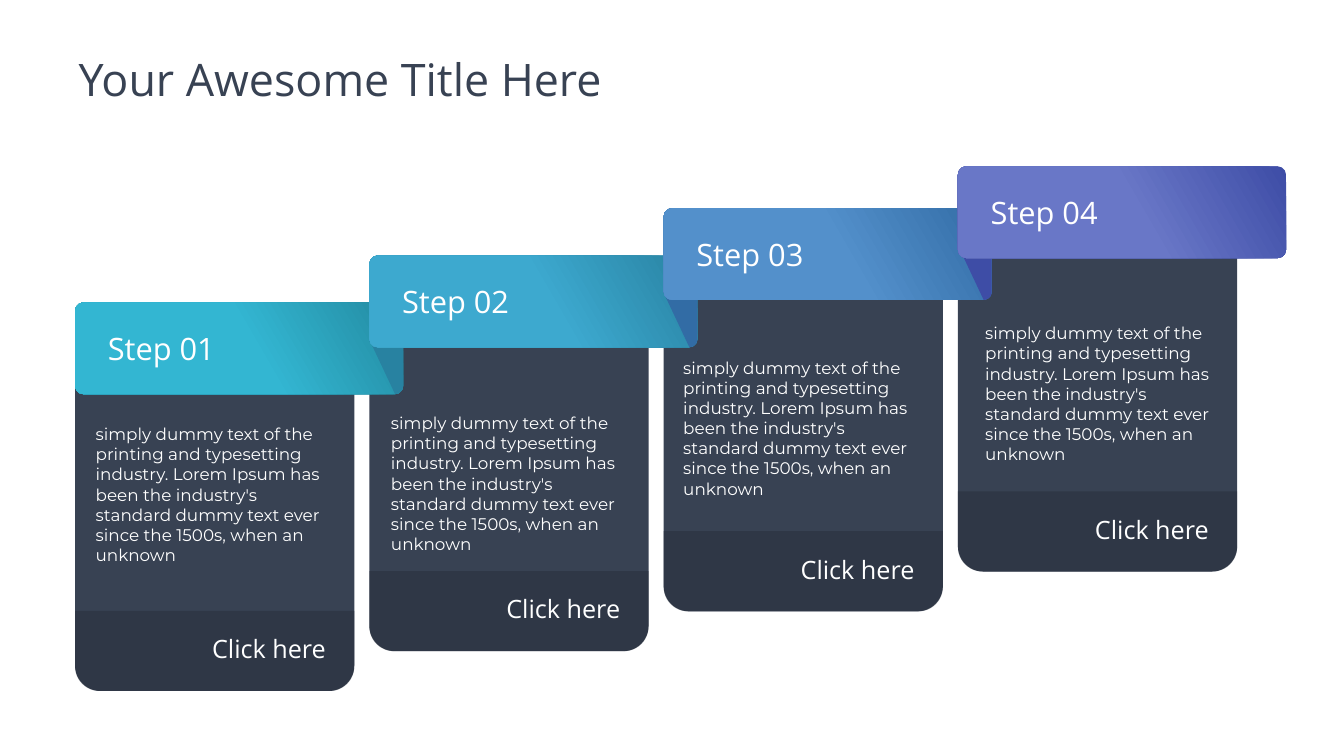
from math import cos, radians, sin

from lxml import etree
from pptx import Presentation
from pptx.dml.color import RGBColor
from pptx.enum.shapes import MSO_SHAPE
from pptx.enum.text import MSO_ANCHOR, MSO_AUTO_SIZE, PP_ALIGN
from pptx.oxml.ns import qn
from pptx.util import Inches, Pt

ROUND = MSO_SHAPE.ROUNDED_RECTANGLE
TWO_ROUND = MSO_SHAPE.ROUND_2_SAME_RECTANGLE
TOP, MIDDLE = MSO_ANCHOR.TOP, MSO_ANCHOR.MIDDLE
LEFT, NO_FIT = PP_ALIGN.LEFT, MSO_AUTO_SIZE.NONE

WHITE = RGBColor(0xFF, 0xFF, 0xFF)
SLATE = RGBColor(0x38, 0x42, 0x53)
NIGHT = RGBColor(0x27, 0x2E, 0x3A)
TEAL, AQUA = RGBColor(0x23, 0x8A, 0xA0), RGBColor(0x33, 0xB6, 0xD2)
OCEAN, SKY = RGBColor(0x28, 0x82, 0xA1), RGBColor(0x3D, 0xA9, 0xCF)
NAVY, BLUE = RGBColor(0x32, 0x6C, 0xA5), RGBColor(0x53, 0x90, 0xCB)
INDIGO, VIOLET = RGBColor(0x3E, 0x4D, 0xA6), RGBColor(0x69, 0x77, 0xC7)

HEAD_FONT, BODY_FONT = "Open Sans", "Montserrat"
BODY = ("simply dummy text of the printing and typesetting industry. "
        "Lorem Ipsum has been the industry's standard dummy text ever "
        "since the 1500s, when an unknown")
X0, PITCH = 1.49, 5.84
CARD_Y, RISE = 6.51, 0.79
CARD_W, CARD_H, FOOT_H = 5.54, 7.2, 1.59
BAND_W, BAND_H, CURVE = 6.51, 1.82, 0.16
# Each step: band top, dark tone, light tone, body left, body top
STEPS = [
    (6.0, TEAL, AQUA, 1.8, 8.36),
    (5.07, OCEAN, SKY, 7.66, 8.14),
    (4.13, NAVY, BLUE, 13.46, 7.04),
    (3.3, INDIGO, VIOLET, 19.45, 6.36),
]


def write(frame, text, size, font, color):
    """Put one left-aligned paragraph in a text frame."""
    frame.text = text
    frame.word_wrap = True
    line = frame.paragraphs[0]
    line.alignment = LEFT
    for run in line.runs:
        run.font.size = Pt(size)
        run.font.name = font
        run.font.color.rgb = color


def add_title(slide, text):
    """Place and format the slide title."""
    title = slide.shapes.title
    title.left, title.top = Inches(1.46), Inches(1.09)
    title.width, title.height = Inches(16.95), Inches(1.79)
    frame = title.text_frame
    write(frame, text, 64, HEAD_FONT, SLATE)
    frame.auto_size = NO_FIT
    frame.vertical_anchor = TOP
    frame.paragraphs[0].line_spacing = 0.9


def add_label(slide, x, y, w, h, text, size, font):
    """Add white text in a plain box."""
    box = slide.shapes.add_textbox(Inches(x), Inches(y), Inches(w), Inches(h))
    write(box.text_frame, text, size, font, WHITE)


def add_block(slide, kind, x, y, w, h):
    """Add a preset shape with no line or shadow."""
    block = slide.shapes.add_shape(kind, Inches(x), Inches(y), Inches(w), Inches(h))
    block.shadow.inherit = False
    block.line.fill.background()
    return block


def paint(shape, color, alpha=100):
    """Fill a shape with one colour at a given opacity."""
    shape.fill.solid()
    shape.fill.fore_color.rgb = color
    if alpha < 100:
        tone = shape.fill._xPr.find(".//" + qn("a:srgbClr"))
        etree.SubElement(tone, qn("a:alpha")).set("val", str(alpha * 1000))


def add_card(slide, x, y):
    """Add a dark card with its footer and label."""
    card = add_block(slide, ROUND, x, y, CARD_W, CARD_H)
    card.adjustments[0] = 0.091
    paint(card, SLATE)
    foot = add_block(slide, TWO_ROUND, x, y + CARD_H - FOOT_H, CARD_W, FOOT_H)
    foot.adjustments[0], foot.adjustments[1] = 0, 0.305
    paint(foot, NIGHT, 50)
    add_label(slide, x + 2.62, y + 6.01, 2.63, 0.71, "Click here", 36, HEAD_FONT)


def add_band(slide, x, y, text, dark, light):
    """Add a gradient band with the step name."""
    band = add_block(slide, ROUND, x, y, BAND_W, BAND_H)
    band.adjustments[0] = 0.091
    band.fill.gradient()
    band.fill.gradient_angle = 210
    for stop, color, place in zip(band.fill.gradient_stops, (dark, light), (0, 0.46)):
        stop.color.rgb = color
        stop.position = place
    frame = band.text_frame
    write(frame, text, 44, HEAD_FONT, WHITE)
    frame.vertical_anchor = MIDDLE
    frame.margin_left = Inches(0.6)


def add_fold(slide, x, y, color):
    """Add the folded end of a band, tucked under the next band."""
    right, base = x + BAND_W, y + BAND_H
    left, top = x + PITCH, base - 1.39
    mid_x, mid_y = right - CURVE, base - CURVE
    arc = [(mid_x + CURVE * cos(radians(turn)), mid_y + CURVE * sin(radians(turn)))
           for turn in range(90, -1, -15)]
    points = [(left, base - 1.08), *arc, (right, top)]
    pen = slide.shapes.build_freeform(Inches(left), Inches(top))
    pen.add_line_segments([(Inches(px), Inches(py)) for px, py in points])
    fold = pen.convert_to_shape()
    fold.shadow.inherit = False
    fold.line.fill.background()
    paint(fold, color)


def main():
    """Build the slide of four rising steps."""
    deck = Presentation()
    deck.slide_width, deck.slide_height = Inches(26.67), Inches(15)
    slide = deck.slides.add_slide(deck.slide_layouts[5])
    add_title(slide, "Your Awesome Title Here")
    for i in range(len(STEPS)):
        add_card(slide, X0 + i * PITCH, CARD_Y - i * RISE)
    for i, (y, dark, light, text_x, text_y) in enumerate(STEPS):
        x = X0 + i * PITCH
        add_band(slide, x, y, f"Step {i + 1:02}", dark, light)
        if i + 1 < len(STEPS):
            add_fold(slide, x, y, STEPS[i + 1][1])
        add_label(slide, text_x, text_y, 4.95, 2.52, BODY, 24, BODY_FONT)
    deck.save("out.pptx")


if __name__ == "__main__":
    main()
